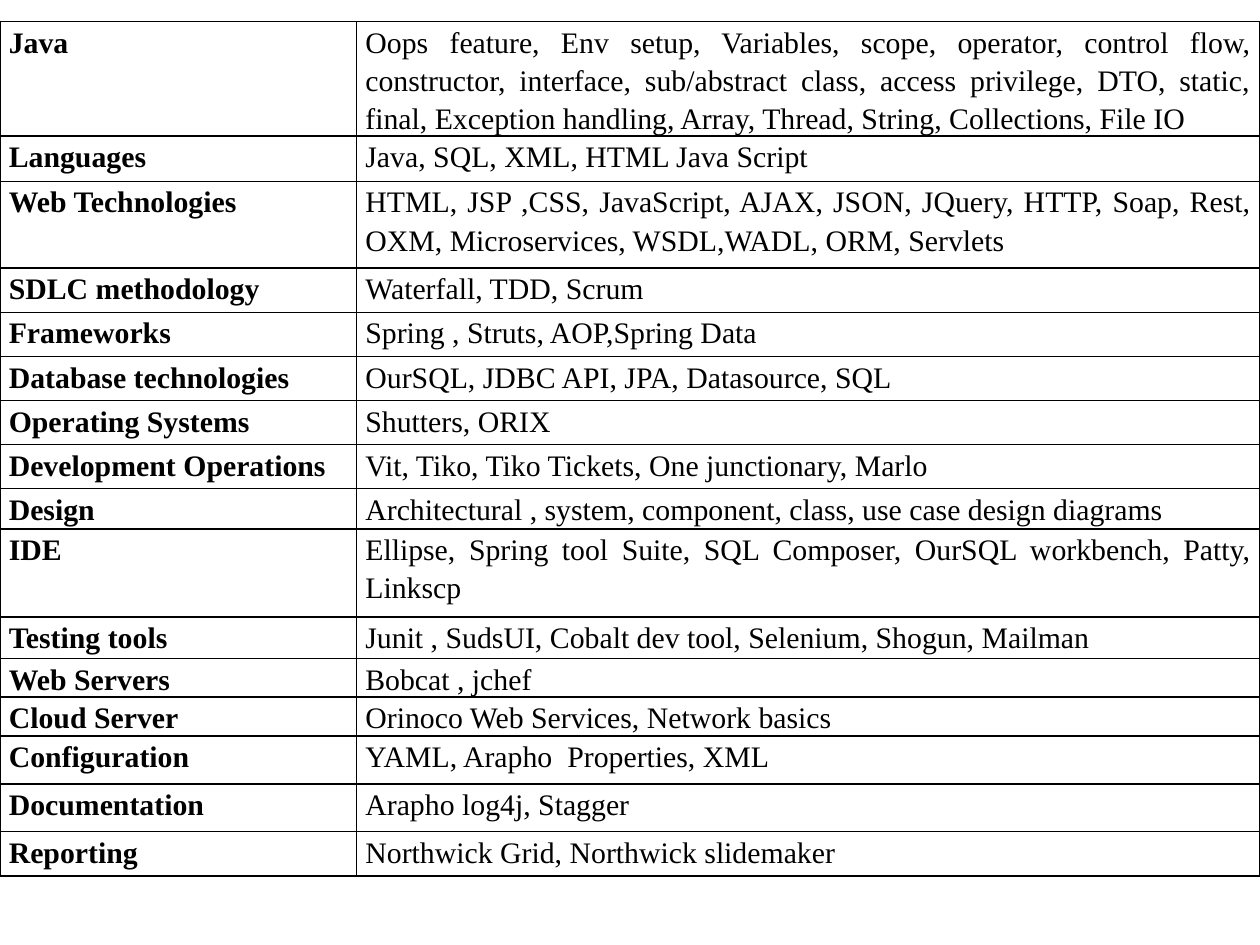
from lxml import etree
from pptx import Presentation
from pptx import util as u
from pptx.dml.color import RGBColor
from pptx.enum import text
from pptx.oxml import ns

BLACK = RGBColor(0, 0, 0)
FONT = "Times New Roman"
COLS = (2.83, 7.17)

# Height, topic, skills
ROWS = [
    (0.36, "Java", "Oops feature, Env setup, Variables, scope, operator, "
     "control flow, constructor, interface, sub/abstract class, access "
     "privilege, DTO, static, final, Exception handling, Array, Thread, "
     "String, Collections, File IO"),
    (0.36, "Languages", "Java, SQL, XML, HTML Java Script"),
    (0.69, "Web Technologies", "HTML, JSP ,CSS, JavaScript, AJAX, JSON, "
     "JQuery, HTTP, Soap, Rest, OXM, Microservices, WSDL,WADL, ORM, Servlets"),
    (0.35, "SDLC methodology", "Waterfall, TDD, Scrum"),
    (0.35, "Frameworks", "Spring , Struts, AOP,Spring Data"),
    (0.35, "Database technologies", "OurSQL, JDBC API, JPA, Datasource, SQL"),
    (0.35, "Operating Systems", "Shutters, ORIX"),
    (0.35, "Development Operations",
     "Vit, Tiko, Tiko Tickets, One junctionary, Marlo"),
    (0.32, "Design", "Architectural , system, component, class, "
     "use case design diagrams"),
    (0.70, "IDE", "Ellipse, Spring tool Suite, SQL Composer, "
     "OurSQL workbench, Patty, Linkscp"),
    (0.33, "Testing tools",
     "Junit , SudsUI, Cobalt dev tool, Selenium, Shogun, Mailman"),
    (0.25, "Web Servers", "Bobcat , jchef"),
    (0.31, "Cloud Server", "Orinoco Web Services, Network basics"),
    (0.38, "Configuration", "YAML, Arapho  Properties, XML"),
    (0.38, "Documentation", "Arapho log4j, Stagger"),
    (0.35, "Reporting", "Northwick Grid, Northwick slidemaker"),
]


def frame(cell):
    """Draw a thin black line on all four sides of the cell."""
    props = cell._tc.get_or_add_tcPr()
    for place, side in enumerate(("lnL", "lnR", "lnT", "lnB")):
        line = etree.Element(ns.qn("a:" + side), w=str(u.Pt(1)))
        fill = etree.SubElement(line, ns.qn("a:solidFill"))
        etree.SubElement(fill, ns.qn("a:srgbClr"), val=str(BLACK))
        props.insert(place, line)


deck = Presentation()
deck.slide_width, deck.slide_height = u.Inches(10), u.Inches(7.5)
slide = deck.slides.add_slide(deck.slide_layouts[6])

high = sum(row[0] for row in ROWS)
grid = slide.shapes.add_table(
    len(ROWS), len(COLS), 0, u.Inches(0.17),
    deck.slide_width, u.Inches(high)).table
grid.first_row = grid.horz_banding = False
for col, width in zip(grid.columns, COLS):
    col.width = u.Inches(width)

for row, (height, *words) in zip(grid.rows, ROWS):
    row.height = u.Inches(height)
    for col, (cell, word) in enumerate(zip(row.cells, words)):
        cell.margin_left = cell.margin_right = u.Inches(0.07)
        cell.margin_top = cell.margin_bottom = 0
        cell.fill.background()
        frame(cell)
        cell.text = word
        para = cell.text_frame.paragraphs[0]
        para.alignment = text.PP_ALIGN.JUSTIFY
        para.line_spacing = 1.15
        para.font.name, para.font.size = FONT, u.Pt(17)
        para.font.bold = col == 0
        para.font.color.rgb = BLACK

deck.save("out.pptx")
